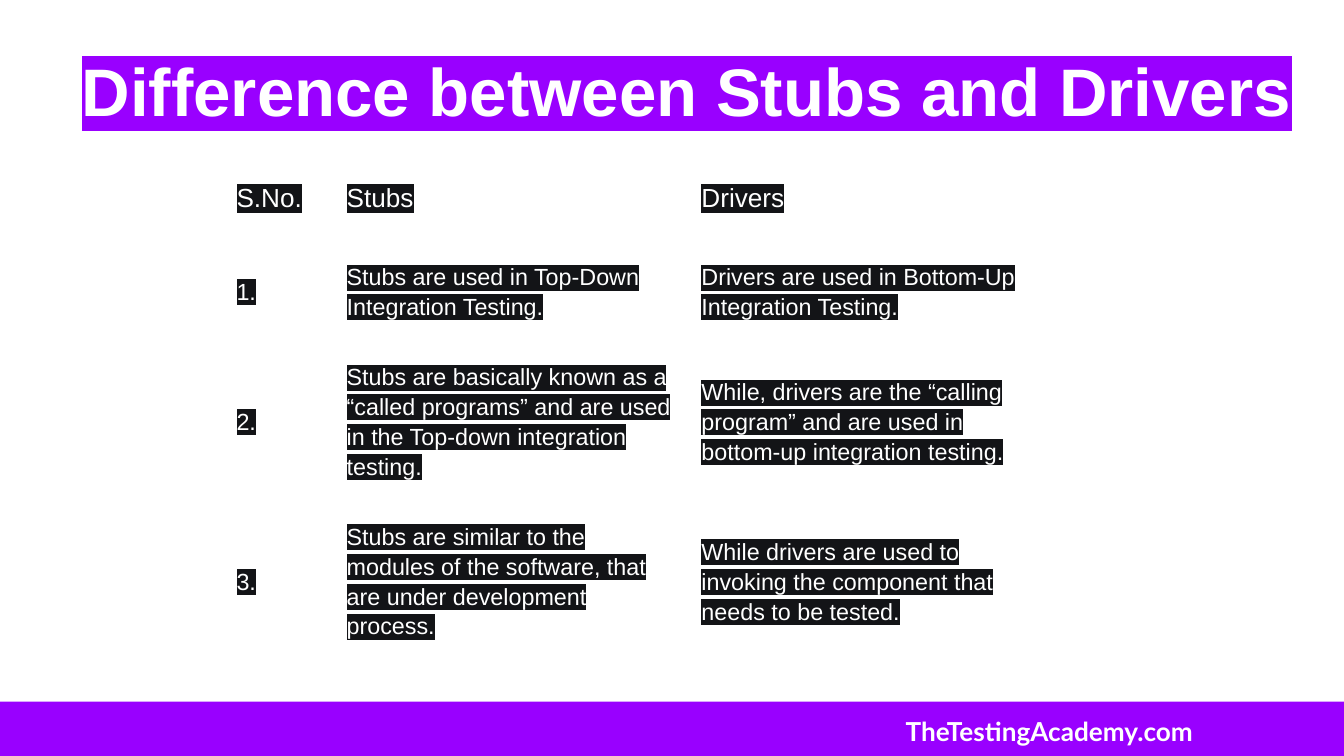
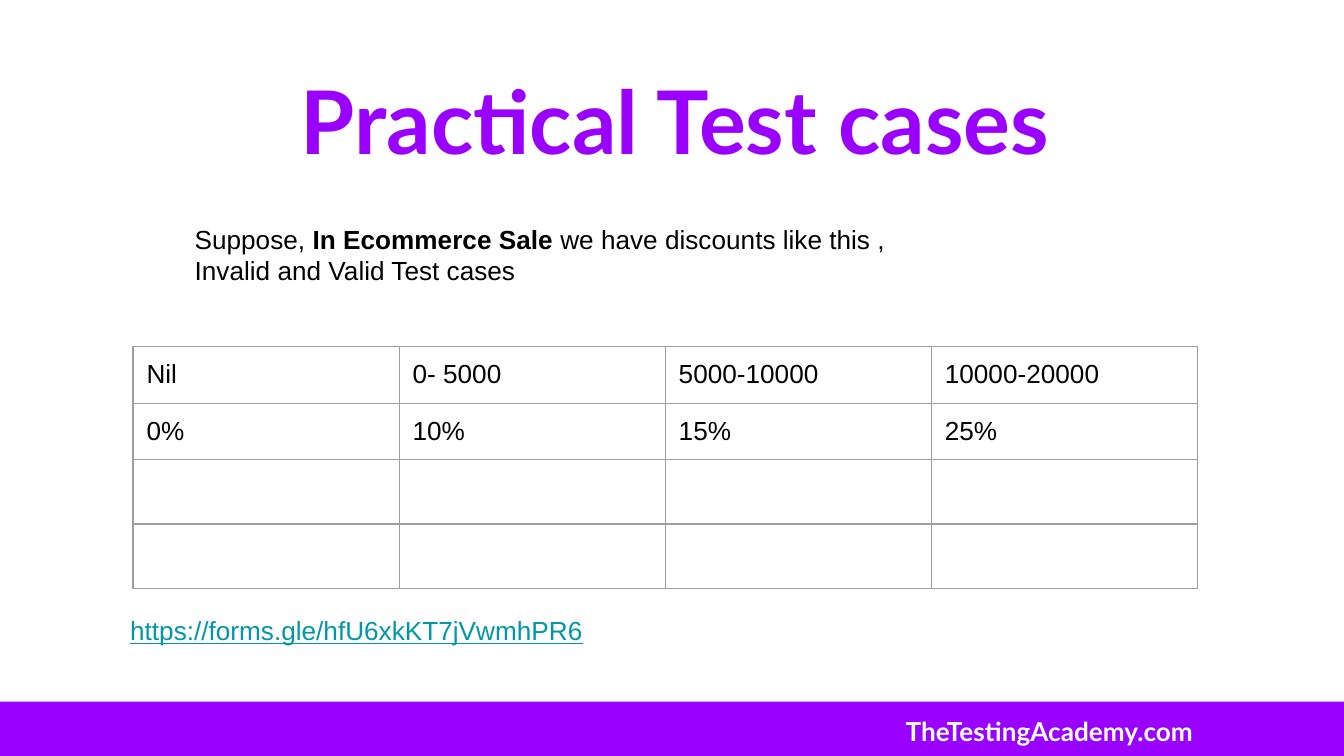
from copy import deepcopy

from lxml import etree
from pptx import Presentation
from pptx import util as u
from pptx.dml.color import RGBColor
from pptx.enum import shapes, text
from pptx.oxml.ns import qn

PURPLE = "9900FF"
WHITE = "FFFFFF"
BLACK = "000000"
INK = "131417"
GREY = "9E9E9E"
TEAL = "0097A7"

SITE = "TheTestingAcademy.com"
COMPARISON_TITLE = "Difference between Stubs and Drivers"
COMPARISON = [
    ("S.No.", "Stubs", "Drivers"),
    ("1.", "Stubs are used in Top-Down Integration Testing.",
     "Drivers are used in Bottom-Up Integration Testing."),
    ("2.", "Stubs are basically known as a “called programs” and are used in the "
     "Top-down integration testing.",
     "While, drivers are the “calling program” and are used in bottom-up "
     "integration testing."),
    ("3.", "Stubs are similar to the modules of the software, that are under "
     "development process.",
     "While drivers are used to invoking the component that needs to be tested."),
]
CASES_TITLE = "Practical Test cases"
SCENARIO = [("Suppose, ", False), ("In Ecommerce Sale", True),
            (" we have discounts like this , Invalid and Valid Test cases", False)]
DISCOUNTS = [
    ("Nil", "0- 5000", "5000-10000", "10000-20000"),
    ("0%", "10%", "15%", "25%"),
    ("",) * 4,
    ("",) * 4,
]
FORM = "https://forms.gle/hfU6xkKT7jVwmhPR6"


def color(value):
    return RGBColor.from_string(value)


def inches(*lengths):
    return [u.Inches(length) for length in lengths]


def set_color(parent, value):
    etree.SubElement(parent, qn("a:srgbClr"), val=value)


def style(para, size, ink, name="Arial", bold=False, highlight=None):
    font = para.font
    font.size, font.name, font.bold = u.Pt(size), name, bold
    font.color.rgb = color(ink)
    if highlight:
        for span in para.runs:
            props = span._r.get_or_add_rPr()
            set_color(etree.SubElement(props, qn("a:highlight")), highlight)
    ending = deepcopy(para._p.pPr.find(qn("a:defRPr")))
    ending.tag = qn("a:endParaRPr")
    para._p.append(ending)


def set_margins(target, side=0.1, top=0.1):
    target.margin_left = target.margin_right = u.Inches(side)
    target.margin_top = target.margin_bottom = u.Inches(top)


def add_text(page, place, spans, size, ink, **look):
    box = page.shapes.add_textbox(*inches(*place))
    frame = box.text_frame
    frame.word_wrap = True
    set_margins(frame)
    para = frame.paragraphs[0]
    for words, bold in spans:
        span = para.add_run()
        span.text = words
        if bold:
            span.font.bold = True
    style(para, size, ink, **look)
    return box


def add_footer(deck, page):
    band = page.shapes.add_shape(shapes.MSO_SHAPE.RECTANGLE,
                                 *inches(-0.01, 5.22, 10.01, 0.47))
    band.shadow.inherit = False
    band.fill.solid()
    band.fill.fore_color.rgb = color(PURPLE)
    band.line.fill.background()
    label = add_text(page, (6.64, 5.22, 5.63, 0.66), [(SITE, False)], 14, WHITE,
                     name="Lato", bold=True)
    for part in (band, label):
        deck.slide_master.shapes._spTree.append(part._element)


def add_page(deck, title, place, size, ink, **look):
    page = deck.slides.add_slide(deck.slide_layouts[5])
    box = page.shapes.title
    box.left, box.top, box.width, box.height = inches(*place)
    frame = box.text_frame
    frame.text = title
    frame.auto_size = text.MSO_AUTO_SIZE.NONE
    frame.vertical_anchor = text.MSO_ANCHOR.MIDDLE
    set_margins(frame)
    para = frame.paragraphs[0]
    para.alignment = text.PP_ALIGN.CENTER
    style(para, size, ink, bold=True, **look)
    return page


def add_borders(cell):
    props = cell._tc.get_or_add_tcPr()
    for index, side in enumerate(("lnL", "lnR", "lnT", "lnB")):
        line = etree.Element(qn("a:" + side), w=str(u.Pt(0.75)))
        set_color(etree.SubElement(line, qn("a:solidFill")), GREY)
        props.insert(index, line)


def add_grid(page, left, top, widths, heights, rows):
    frame = page.shapes.add_table(len(rows), len(widths),
                                  *inches(left, top, sum(widths), sum(heights)))
    table = frame.table
    table.first_row = table.horz_banding = False
    for column, width in zip(table.columns, widths):
        column.width = u.Inches(width)
    for row, height, values in zip(table.rows, heights, rows):
        row.height = u.Inches(height)
        for cell, value in zip(row.cells, values):
            cell.text = value
            cell.fill.background()
    return table


def build_comparison(deck):
    page = add_page(deck, COMPARISON_TITLE, (0.45, 0.21, 9.32, 0.92), 36, WHITE,
                    highlight=PURPLE)
    table = add_grid(page, 1.66, 1.13, (0.82, 2.64, 2.63), (0.66, 0.68, 0.9, 0.9), COMPARISON)
    for index, row in enumerate(table.rows):
        size, top = (12.5, 0.15) if index else (14, 0.1)
        for cell in row.cells:
            set_margins(cell, top=top)
            cell.vertical_anchor = text.MSO_ANCHOR.MIDDLE
            para = cell.text_frame.paragraphs[0]
            para.line_spacing = 1.15
            style(para, size, WHITE, highlight=INK)
    return page


def build_cases(deck):
    page = add_page(deck, CASES_TITLE, (0.24, 0.43, 9.57, 0.92), 47, PURPLE, name="Lato")
    table = add_grid(page, 0.99, 2.58, (1.98,) * 4, (0.42, 0.42, 0.48, 0.48), DISCOUNTS)
    for cell in table.iter_cells():
        add_borders(cell)
        if cell.text:
            set_margins(cell)
        style(cell.text_frame.paragraphs[0], 14, BLACK)
    add_text(page, (1.35, 1.56, 5.4, 0.67), SCENARIO, 14, BLACK)
    link = add_text(page, (0.87, 4.47, 6.32, 0.67), [(FORM, False)], 14, TEAL)
    link.text_frame.paragraphs[0].font.underline = True


def main():
    deck = Presentation()
    deck.slide_width = u.Inches(10)
    deck.slide_height = deck.slide_width * 9 // 16
    page = build_comparison(deck)
    add_footer(deck, page)
    build_cases(deck)
    deck.save("out.pptx")


if __name__ == "__main__":
    main()
